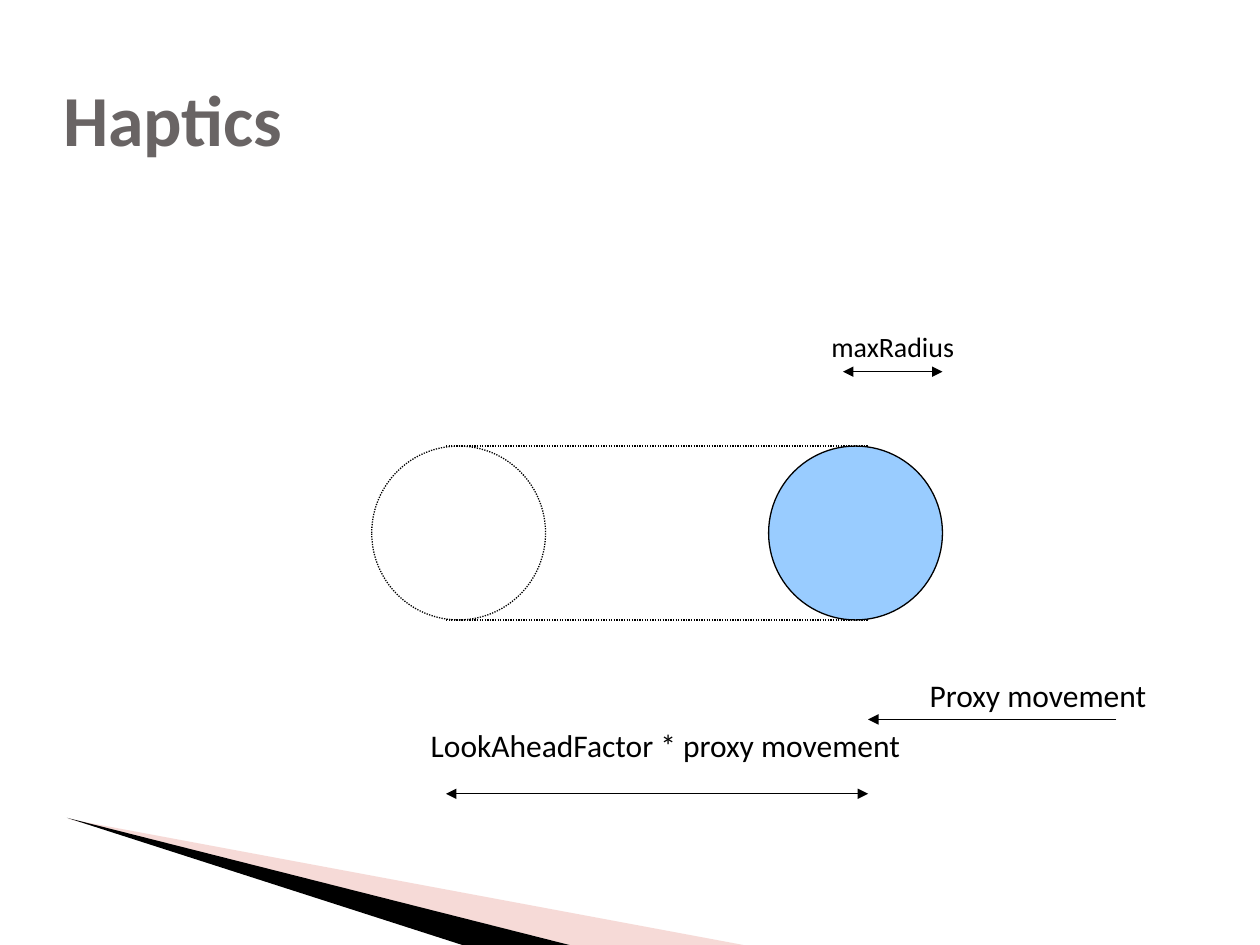
from dataclasses import dataclass

from lxml.etree import SubElement
from pptx import Presentation
from pptx.dml.color import RGBColor
from pptx.enum.dml import MSO_LINE
from pptx.enum.shapes import MSO_CONNECTOR, MSO_SHAPE
from pptx.enum.text import MSO_ANCHOR
from pptx.oxml.ns import qn
from pptx.util import Inches, Pt

COLUMNS, ROWS = 100, 75
WIDTH, HEIGHT = Inches(10), Inches(7.5)
BLACK, WHITE, SKY, ROSE, GREY = "000000", "FFFFFF", "99CCFF", "E9A49C", "696464"
DIAMETER, TOP = 13.8, 35.4
PROXY_LEFT, AHEAD_LEFT = 61, 29.5
AHEAD_X, PROXY_X = 35.4, 68.9


@dataclass(frozen=True)
class Wedge:
    corners: tuple[tuple[float, float], ...]
    color: str
    opacity: int = 100


@dataclass(frozen=True)
class Circle:
    left: float
    color: str
    dotted: bool = False


@dataclass(frozen=True)
class Line:
    start: float
    end: float
    row: float
    dotted: bool = False
    head: bool = False
    tail: bool = False


@dataclass(frozen=True)
class Label:
    text: str
    left: float
    top: float
    width: float
    height: float
    size: int
    color: str = BLACK
    title: bool = False


WEDGES = (
    Wedge(((5.4, 65), (59, ROWS), (45.2, ROWS)), ROSE, 40),
    Wedge(((5.3, 64.9), (45.2, ROWS), (36.7, ROWS)), BLACK),
)
CIRCLES = (Circle(PROXY_LEFT, SKY), Circle(AHEAD_LEFT, WHITE, dotted=True))
LINES = (
    Line(AHEAD_X, PROXY_X, TOP, dotted=True),
    Line(AHEAD_X, PROXY_X, TOP + DIAMETER, dotted=True),
    Line(88.6, PROXY_X, 57.1, tail=True),
    Line(66.9, PROXY_LEFT + DIAMETER, 29.5, head=True, tail=True),
    Line(PROXY_X, AHEAD_X, 63, head=True, tail=True),
)
LABELS = (
    Label("Haptics", 5, 1.6, 89.9, 15.4, 41, GREY, title=True),
    Label("maxRadius", 65, 25.6, 11.8, 3.7, 16),
    Label("Proxy movement", 72.8, 53.1, 19.3, 4, 18),
    Label("LookAheadFactor * proxy movement", 33.2, 57.1, 39.5, 4, 18),
)


def across(columns: float) -> int:
    """Turn grid columns into a length."""
    return round(WIDTH * columns / COLUMNS)


def down(rows: float) -> int:
    """Turn grid rows into a length."""
    return round(HEIGHT * rows / ROWS)


def rgb(color: str) -> RGBColor:
    """Read a hex colour."""
    return RGBColor.from_string(color)


def apply(target, values: dict) -> None:
    """Set each named attribute on the target."""
    for name, value in values.items():
        setattr(target, name, value)


def paint(shape, color: str) -> None:
    """Give a shape a solid fill and no shadow."""
    shape.shadow.inherit = False
    shape.fill.solid()
    shape.fill.fore_color.rgb = rgb(color)


def stroke(line, dotted: bool) -> None:
    """Draw a thin black line, dotted on request."""
    line.color.rgb = rgb(BLACK)
    style = MSO_LINE.ROUND_DOT if dotted else MSO_LINE.SOLID
    apply(line, {"width": Pt(0.75), "dash_style": style})


def draw_wedge(page, wedge: Wedge) -> None:
    """Draw one corner wedge."""
    points = [(across(x), down(y)) for x, y in wedge.corners]
    builder = page.shapes.build_freeform(*points[0])
    builder.add_line_segments(points[1:])
    shape = builder.convert_to_shape()
    paint(shape, wedge.color)
    shape.line.fill.background()
    if wedge.opacity < 100:
        tint = next(shape.element.iter(qn("a:srgbClr")))
        SubElement(tint, qn("a:alpha")).set("val", str(wedge.opacity * 1000))


def draw_circle(page, circle: Circle) -> None:
    """Draw one position of the proxy."""
    shape = page.shapes.add_shape(
        MSO_SHAPE.OVAL, across(circle.left), down(TOP), across(DIAMETER), down(DIAMETER)
    )
    paint(shape, circle.color)
    stroke(shape.line, circle.dotted)


def draw_line(page, line: Line) -> None:
    """Draw a level line with its arrowheads."""
    connector = page.shapes.add_connector(
        MSO_CONNECTOR.STRAIGHT,
        across(line.start), down(line.row), across(line.end), down(line.row),
    )
    stroke(connector.line, line.dotted)
    outline = connector.line._get_or_add_ln()
    for tag, wanted in (("a:headEnd", line.head), ("a:tailEnd", line.tail)):
        if wanted:
            SubElement(outline, qn(tag)).set("type", "triangle")
    SubElement(connector.element.spPr, qn("a:effectLst"))


def draw_label(page, label: Label) -> None:
    """Write one line of text."""
    box = page.shapes.add_textbox(
        across(label.left), down(label.top), across(label.width), down(label.height)
    )
    side, edge = (0, 0) if label.title else (Inches(0.1), Inches(0.05))
    apply(box.text_frame, {
        "word_wrap": label.title,
        "vertical_anchor": MSO_ANCHOR.MIDDLE if label.title else MSO_ANCHOR.TOP,
        "margin_left": side, "margin_right": side,
        "margin_top": edge, "margin_bottom": edge,
    })
    para = box.text_frame.paragraphs[0]
    para.line_spacing = 1.02
    span = para.add_run()
    span.text = label.text
    apply(span.font, {"name": "Calibri", "size": Pt(label.size), "bold": label.title})
    span.font.color.rgb = rgb(label.color)


def main() -> None:
    """Build the haptics slide and save it."""
    deck = Presentation()
    apply(deck, {"slide_width": WIDTH, "slide_height": HEIGHT})
    page = deck.slides.add_slide(deck.slide_layouts[6])
    for draw, items in (
        (draw_wedge, WEDGES), (draw_circle, CIRCLES),
        (draw_line, LINES), (draw_label, LABELS),
    ):
        for item in items:
            draw(page, item)
    deck.save("out.pptx")


if __name__ == "__main__":
    main()
